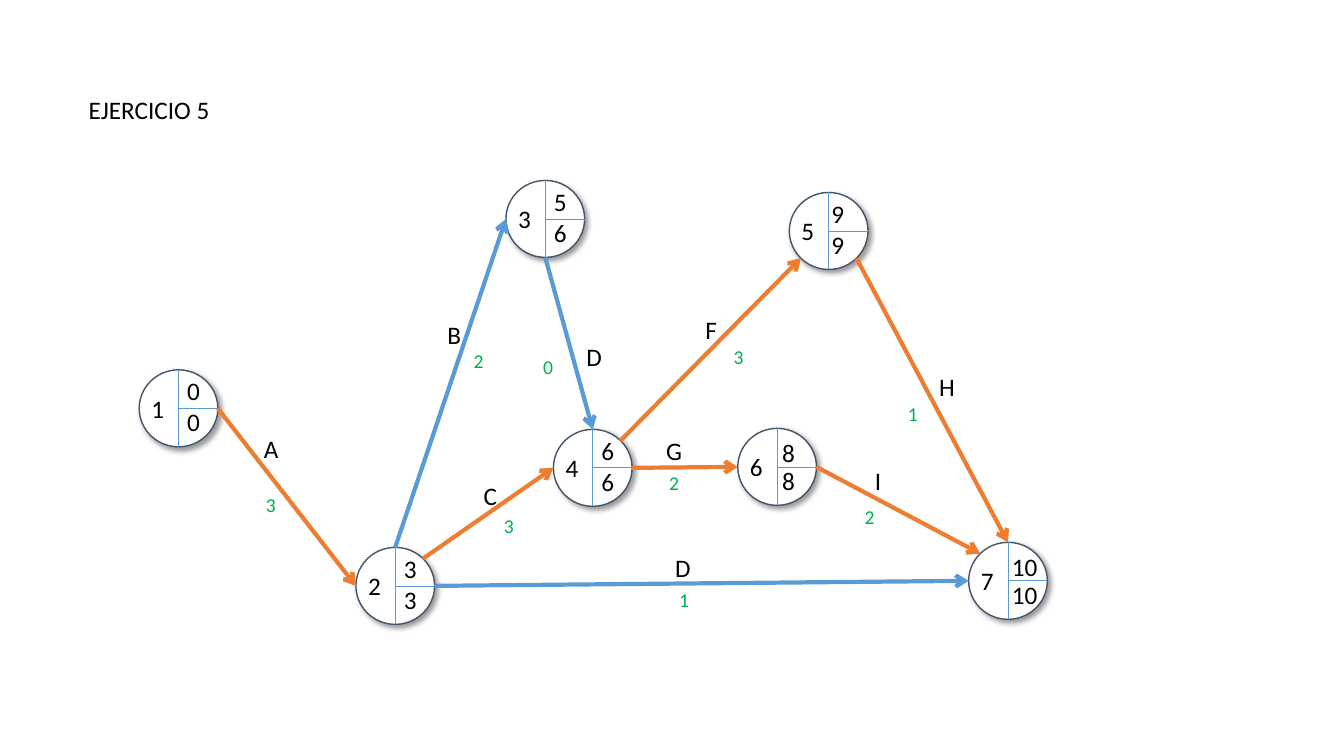
from math import cos, pi, sin

from lxml.etree import SubElement as Sub
from pptx import Presentation
from pptx.dml.color import RGBColor as Rgb
from pptx.enum.shapes import MSO_CONNECTOR as Conn, MSO_SHAPE as Geo
from pptx.enum.text import MSO_AUTO_SIZE as Fit
from pptx.oxml.ns import qn
from pptx.util import Pt

WIDE, HIGH = 56.2, 55
BLACK, GREEN, BLUE, ORANGE = "000000", "00B050", "5B9BD5", "ED7D31"
FRAME = {"word_wrap": False, "auto_size": Fit.SHAPE_TO_FIT_TEXT}
LARGE = {"name": "Calibri", "size": Pt(18)}
SMALL = {"name": "Calibri", "size": Pt(14)}

# number: (left, top, early, late, time offset x, time offset y, gap, width)
NODES = {
    1: (99.4, 264.2, 0, 0, 27.2, 0.4, 22.4, 24),
    2: (254.2, 391, 3, 3, 27.2, 0.4, 22.4, 24),
    3: (361.4, 128.9, 5, 6, 27.2, 0.4, 22.4, 24),
    4: (395.3, 306.7, 6, 6, 27.2, 0.4, 22.4, 24),
    5: (563.8, 137.5, 9, 9, 23, 0.6, 22.4, 24),
    6: (527, 306, 8, 8, 24.5, 2.9, 20.2, 24),
    7: (691.9, 387.4, 10, 10, 23.8, 2.9, 20.2, 33),
}

# name, name box, duration, duration place, start node and site, end node and site, colour
TASKS = [
    ("A", (181.4, 306, 25.2), 3, (182.9, 348.5), (1, 6), (2, 2), ORANGE),
    ("B", (312.5, 224.6, 24.5), 2, (331.2, 245.5), (2, 0), (3, 2), BLUE),
    ("C", (338.4, 339.8, 24.5), 3, (352.8, 363.6), (2, 7), (4, 2), ORANGE),
    ("F", (496.8, 221, 23), 3, (517, 242.6), (4, 7), (5, 3), ORANGE),
    ("D", (411.8, 240.5, 26), 0, (380.9, 249.8), (3, 4), (4, 0), BLUE),
    ("H", (663.8, 262, 26), 1, (641.5, 283.7), (5, 5), (7, 0), ORANGE),
    ("G", (468.7, 307.4, 26), 2, (470.9, 332.6), (4, 6), (6, 2), ORANGE),
    ("I", (617.8, 329, 19.4), 2, (610.6, 357), (6, 6), (7, 1), ORANGE),
    ("D", (475.2, 391, 26), 1, (478, 416.2), (2, 6), (7, 2), BLUE),
]


def apply(item, form):
    for key, value in form.items():
        setattr(item, key, value)


def paint(fill, color):
    fill.solid()
    fill.fore_color.rgb = Rgb.from_string(color)


def write(slide, text, x, y, wide, form=LARGE, color=BLACK):
    high = form["size"].pt * 1.2 + 7.4
    frame = slide.shapes.add_textbox(Pt(x), Pt(y), Pt(wide), Pt(high)).text_frame
    apply(frame, FRAME)
    run = frame.paragraphs[0].add_run()
    run.text = str(text)
    apply(run.font, form)
    paint(run.font.fill, color)


def draw(slide, start, end, color, width):
    ends = [Pt(value) for value in (*start, *end)]
    line = slide.shapes.add_connector(Conn.STRAIGHT, *ends)
    paint(line.line.fill, color)
    line.line.width = Pt(width)
    Sub(line._element.spPr, qn("a:effectLst"))
    return line


def shade(shape):
    """Give the shape a soft grey shadow to the lower right."""
    list_ = Sub(shape._element.spPr, qn("a:effectLst"))
    drop = Sub(list_, qn("a:outerShdw"), blurRad=str(Pt(4)), dist=str(Pt(3)),
               dir="2700000", algn="tl", rotWithShape="0")
    tone = Sub(drop, qn("a:srgbClr"), val=BLACK)
    Sub(tone, qn("a:alpha"), val="40000")


def add_node(slide, num):
    x, y, early, late, dx, dy, gap, wide = NODES[num]
    ring = slide.shapes.add_shape(Geo.OVAL, Pt(x), Pt(y), Pt(WIDE), Pt(HIGH))
    paint(ring.fill, "FFFFFF")
    paint(ring.line.fill, "44546A")
    ring.line.width = Pt(1)
    shade(ring)
    mid, half = x + WIDE / 2, y + HIGH / 2
    draw(slide, (mid, y), (mid, y + HIGH), BLUE, 0.5)
    draw(slide, (x + WIDE, half), (mid, half), BLUE, 0.5)
    write(slide, num, x + 1.6, y + 13, 24)
    write(slide, early, x + dx, y + dy, wide)
    write(slide, late, x + dx, y + dy + gap, wide)
    return ring


def site(num, index):
    x, y = NODES[num][:2]
    turn = index * pi / 4
    return x + WIDE / 2 * (1 - sin(turn)), y + HIGH / 2 * (1 - cos(turn))


def add_task(slide, rings, name, box, days, place, start, end, color):
    line = draw(slide, site(*start), site(*end), color, 3)
    glue = line._element.nvCxnSpPr.cNvCxnSpPr
    for tag, (num, index) in (("a:stCxn", start), ("a:endCxn", end)):
        Sub(glue, qn(tag), id=str(rings[num].shape_id), idx=str(index))
    Sub(line.line._get_or_add_ln(), qn("a:tailEnd"), type="arrow")
    write(slide, name, *box)
    write(slide, days, *place, 21.6, SMALL, GREEN)


def main():
    deck = Presentation()
    apply(deck, {"slide_width": Pt(960), "slide_height": Pt(540)})
    slide = deck.slides.add_slide(deck.slide_layouts[6])
    write(slide, "EJERCICIO 5", 56.2, 64.1, 101.5)
    rings = {num: add_node(slide, num) for num in NODES}
    for task in TASKS:
        add_task(slide, rings, *task)
    deck.save("out.pptx")


main()
